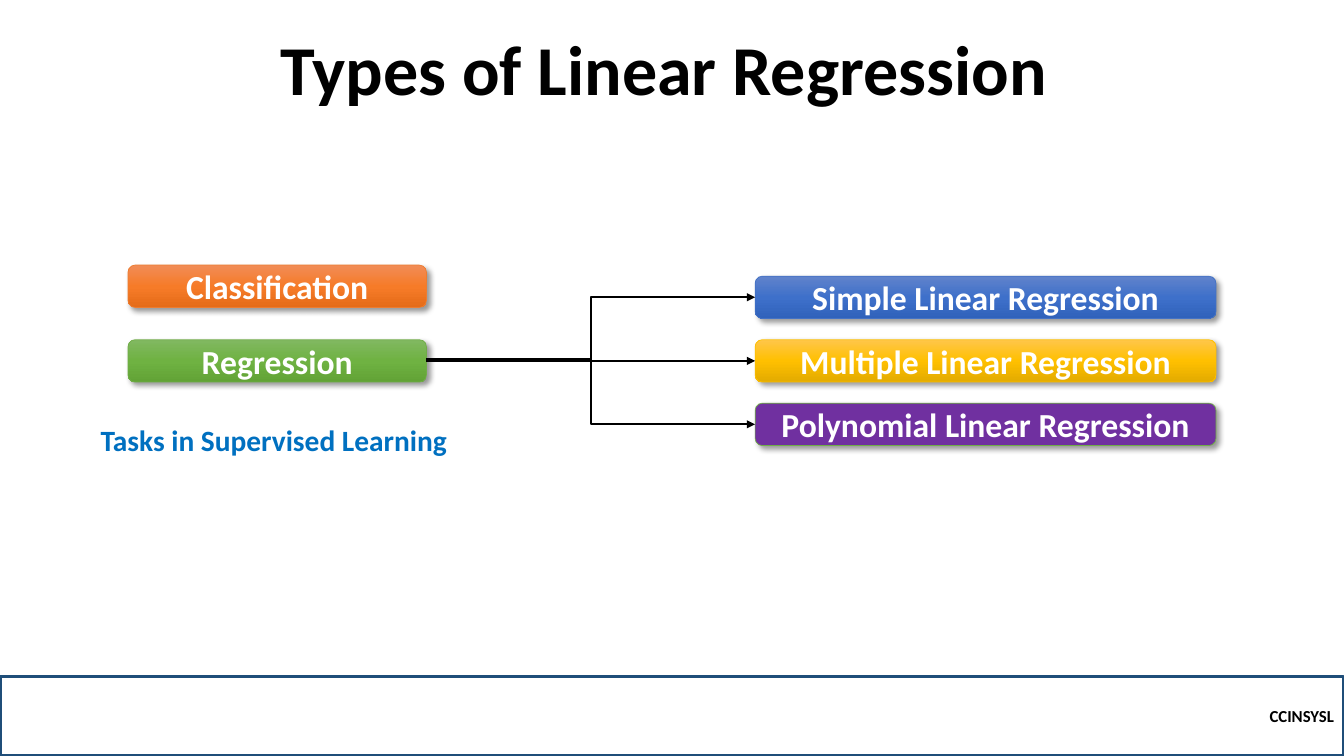
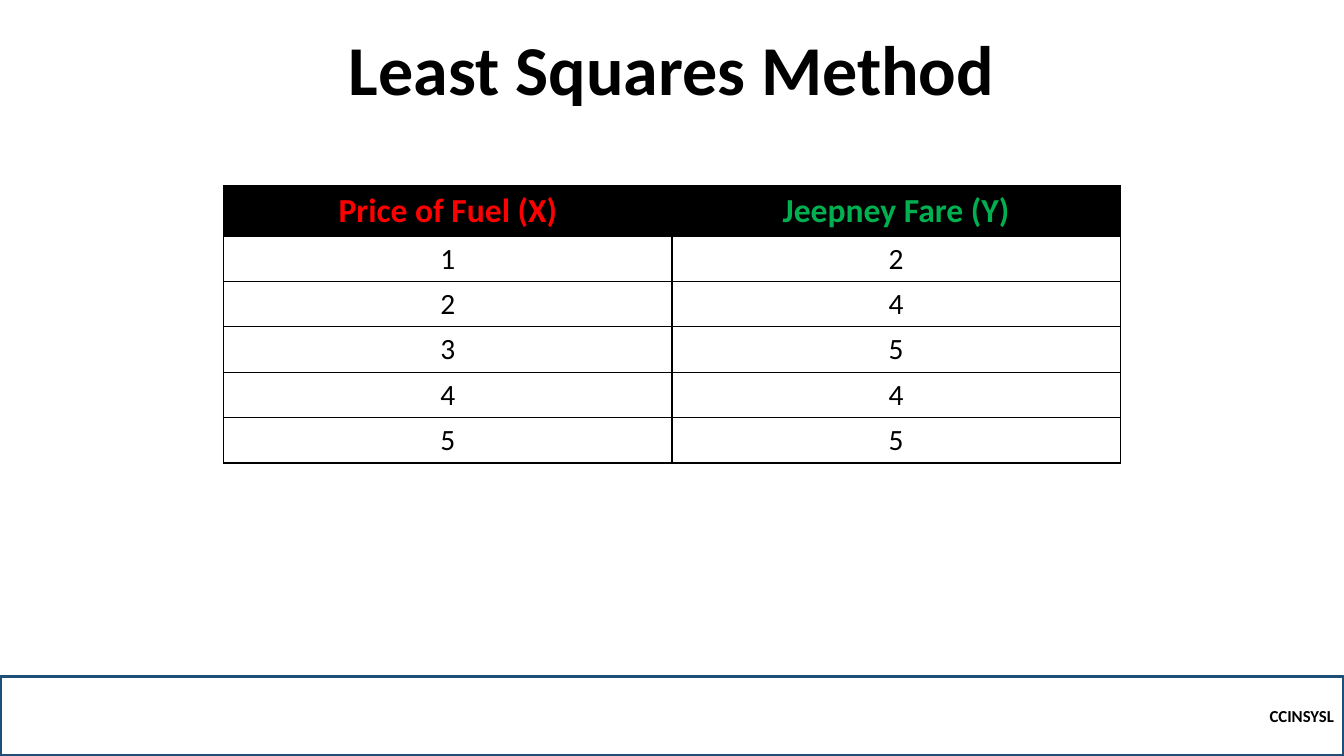
from lxml.etree import SubElement
from copy import deepcopy
from pptx import Presentation
from pptx.dml.color import RGBColor
from pptx.enum.shapes import MSO_CONNECTOR, MSO_SHAPE
from pptx.enum.text import MSO_ANCHOR, PP_ALIGN
from pptx.oxml.ns import qn
from pptx.util import Inches, Pt

FONT = "Calibri"
BLACK, WHITE, NAVY, BLUE = "000000", "FFFFFF", "1F4E79", "0070C0"
RED, GREEN = "FF0000", "00B050"
SLIDE_W, SLIDE_H = 13.33, 7.5
FOOTER_H = 0.79
BOX_H = 0.42
LEFT_SITE, RIGHT_SITE = 1, 3

# label, line colour, fill colours from top to bottom
TASKS = [
    ("Classification", "ED7D31", ["F18C57", "F67B28", "E56C19"]),
    ("Regression", "70AD47", ["81B861", "6FB242", "62A336"]),
]
REGRESSION_TYPES = [
    ("Simple Linear Regression", "4472C4", ["6183CB", "3E70CA", "3062BB"]),
    ("Multiple Linear Regression", "FFC000", ["FFC64B", "FFC000", "E3AB00"]),
    ("Polynomial Linear Regression", "70AD47", ["7030A0"]),
]
FARE_HEADINGS = [("Price of Fuel (X)", RED), ("Jeepney Fare (Y)", GREEN)]
FARES = [(1, 2), (2, 4), (3, 5), (4, 4), (5, 5)]


def rgb(value):
    return RGBColor.from_string(value)


def write(frame, text, size, color, bold=True, align=PP_ALIGN.CENTER):
    frame.text = text
    paragraph = frame.paragraphs[0]
    paragraph.alignment = align
    font = paragraph.runs[0].font
    font.name, font.size, font.bold = FONT, Pt(size), bold
    font.color.rgb = rgb(color)
    return paragraph


def add_title(slide, text):
    title = slide.shapes.add_textbox(Inches(0.5), Inches(0.36), Inches(12.33), Inches(0.79))
    title.text_frame.word_wrap = True
    title.text_frame.vertical_anchor = MSO_ANCHOR.BOTTOM
    write(title.text_frame, text, 50, BLACK).line_spacing = 0.9


def add_footer(slide):
    footer = slide.shapes.add_shape(
        MSO_SHAPE.RECTANGLE, 0, Inches(SLIDE_H - FOOTER_H), Inches(SLIDE_W), Inches(FOOTER_H))
    footer.shadow.inherit = False
    footer.fill.background()
    footer.line.color.rgb = rgb(NAVY)
    footer.line.width = Pt(2.25)
    footer.text_frame.vertical_anchor = MSO_ANCHOR.MIDDLE
    write(footer.text_frame, "CCINSYSL", 12, BLACK, align=PP_ALIGN.RIGHT)


def add_base_slide(deck, title):
    slide = deck.slides.add_slide(deck.slide_layouts[6])
    add_footer(slide)
    add_title(slide, title)
    return slide


def fill_downwards(shape, colors):
    """Fill with one plain colour, or with an even gradient from top to bottom."""
    if len(colors) == 1:
        shape.fill.solid()
        shape.fill.fore_color.rgb = rgb(colors[0])
        return
    shape.fill.gradient()
    shape.fill.gradient_angle = 270
    stop_list = shape._element.spPr.find(qn("a:gradFill")).find(qn("a:gsLst"))
    for _ in colors[2:]:
        stop_list.append(deepcopy(stop_list[0]))
    for index, (stop, color) in enumerate(zip(shape.fill.gradient_stops, colors)):
        stop.position = index / (len(colors) - 1)
        stop.color.rgb = rgb(color)


def add_drop_shadow(shape):
    shape.shadow.inherit = False
    effects = shape._element.spPr.find(qn("a:effectLst"))
    shadow = SubElement(effects, qn("a:outerShdw"), blurRad=str(Pt(4)), dist=str(Pt(3)),
                        dir="2700000", algn="tl", rotWithShape="0")
    color = SubElement(shadow, qn("a:srgbClr"), val=BLACK)
    SubElement(color, qn("a:alpha"), val="40000")


def add_box_column(slide, left, top, width, pitch, entries):
    boxes = []
    for index, (label, line_color, fill_colors) in enumerate(entries):
        box = slide.shapes.add_shape(
            MSO_SHAPE.ROUNDED_RECTANGLE, Inches(left), Inches(top + index * pitch),
            Inches(width), Inches(BOX_H))
        fill_downwards(box, fill_colors)
        box.line.color.rgb = rgb(line_color)
        box.line.width = Pt(0.5)
        add_drop_shadow(box)
        box.text_frame.vertical_anchor = MSO_ANCHOR.MIDDLE
        write(box.text_frame, label, 24, WHITE)
        boxes.append(box)
    return boxes


def add_branch(slide, source, target, rise=0.0):
    """Elbow arrow between two boxes; a rise lifts its start above the source's middle."""
    start_y = source.top + source.height // 2 - Inches(rise)
    branch = slide.shapes.add_connector(
        MSO_CONNECTOR.ELBOW, source.left + source.width, start_y,
        target.left, target.top + target.height // 2)
    if not rise:
        branch.begin_connect(source, RIGHT_SITE)
    branch.end_connect(target, LEFT_SITE)
    branch.line.color.rgb = rgb(BLACK)
    branch.line.width = Pt(1.5)
    SubElement(branch.line._get_or_add_ln(), qn("a:tailEnd"), type="triangle")
    SubElement(branch._element.spPr, qn("a:effectLst"))


def add_types_slide(deck):
    slide = add_base_slide(deck, "Types of Linear Regression ")
    regression = add_box_column(slide, 1.27, 2.63, 2.96, 0.74, TASKS)[-1]
    types = add_box_column(slide, 7.49, 2.74, 4.57, 0.63, REGRESSION_TYPES)
    for target, rise in zip(types, (0, 0.02, 0)):
        add_branch(slide, regression, target, rise)
    caption = slide.shapes.add_textbox(Inches(0.9), Inches(4.14), Inches(3.7), Inches(0.45))
    caption.text_frame.word_wrap = True
    write(caption.text_frame, "Tasks in Supervised Learning", 21, BLUE, align=PP_ALIGN.LEFT)


def add_borders(cell):
    properties = cell._tc.get_or_add_tcPr()
    for side in ("lnL", "lnR", "lnT", "lnB"):
        border = SubElement(properties, qn(f"a:{side}"), w=str(Pt(1)))
        SubElement(SubElement(border, qn("a:solidFill")), qn("a:srgbClr"), val=BLACK)


def add_fare_table(slide, left, top, width, header_h, row_h):
    rows = len(FARES) + 1
    table = slide.shapes.add_table(
        rows, len(FARE_HEADINGS), Inches(left), Inches(top), Inches(width),
        Inches(header_h + row_h * len(FARES))).table
    table.horz_banding = False
    for index, row in enumerate(table.rows):
        row.height = Inches(row_h if index else header_h)
    for cell in table.iter_cells():
        add_borders(cell)
    for column, (heading, color) in enumerate(FARE_HEADINGS):
        header = table.cell(0, column)
        header.fill.solid()
        header.fill.fore_color.rgb = rgb(BLACK)
        write(header.text_frame, heading, 24, color)
        for row, fares in enumerate(FARES, start=1):
            cell = table.cell(row, column)
            cell.fill.background()
            write(cell.text_frame, str(fares[column]), 21, BLACK, bold=False)


def add_least_squares_slide(deck):
    slide = add_base_slide(deck, "Least Squares Method")
    add_fare_table(slide, 2.22, 1.84, 8.89, 0.5, 0.45)


def main():
    deck = Presentation()
    deck.slide_width, deck.slide_height = Inches(SLIDE_W), Inches(SLIDE_H)
    add_types_slide(deck)
    add_least_squares_slide(deck)
    deck.save("out.pptx")


if __name__ == "__main__":
    main()
